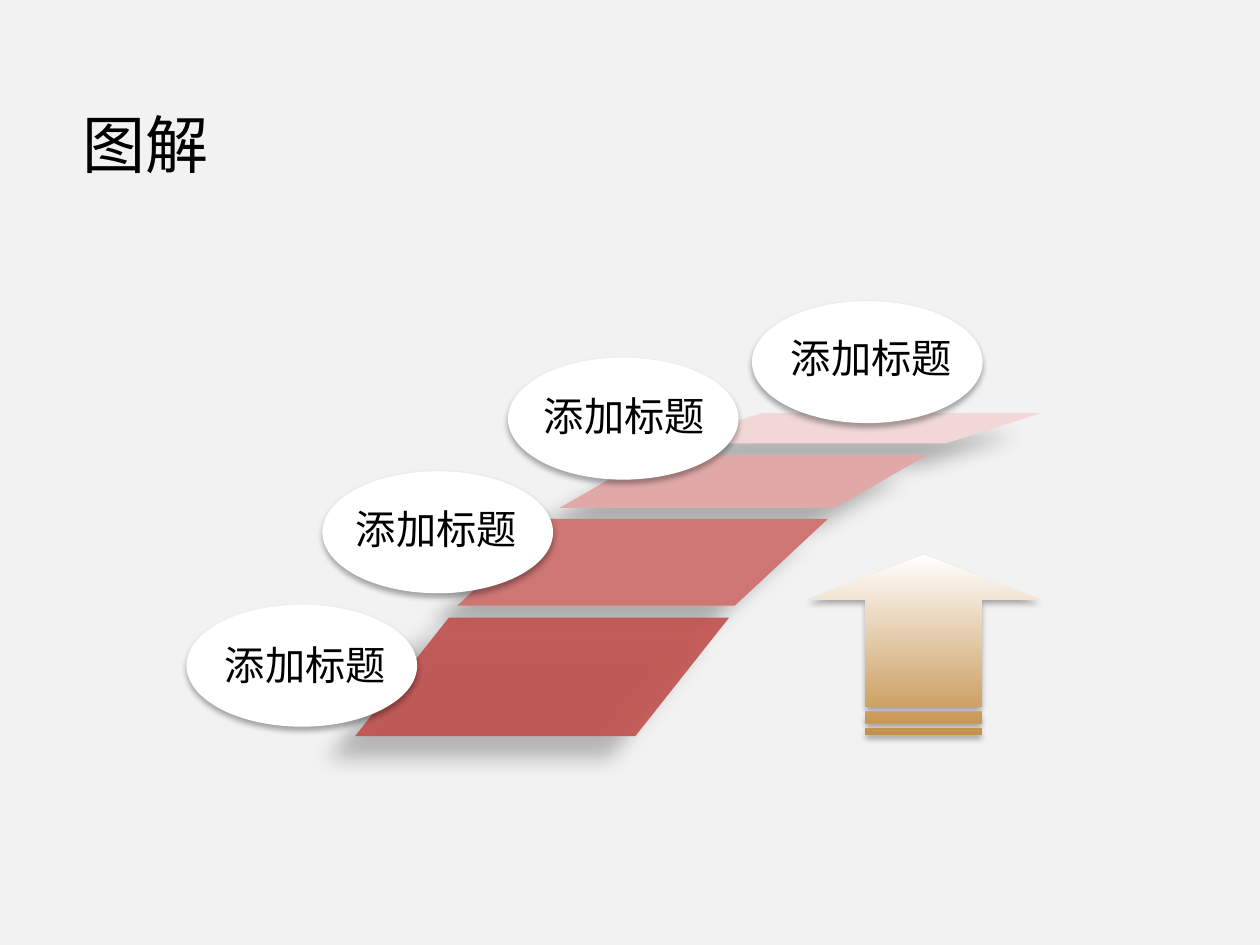
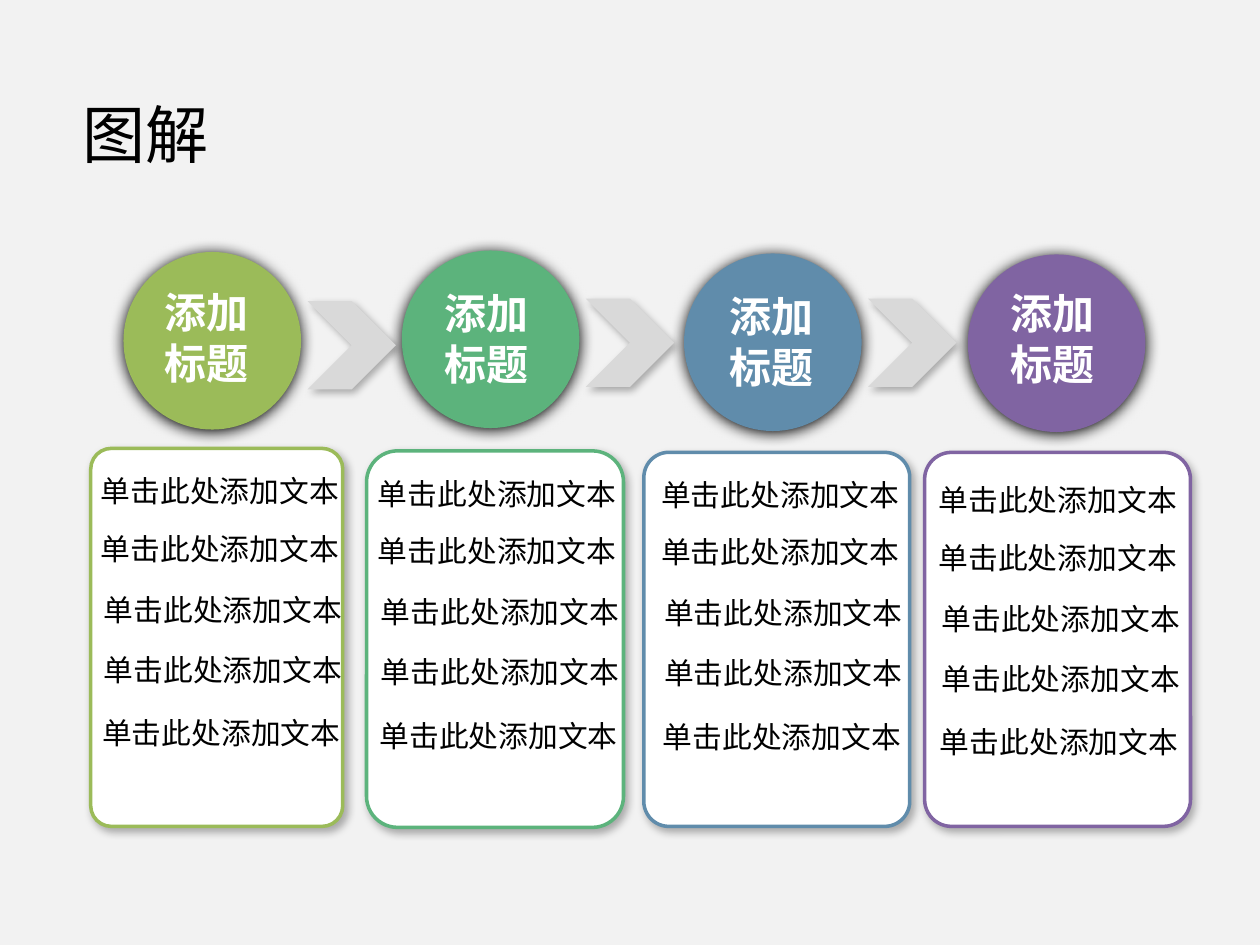
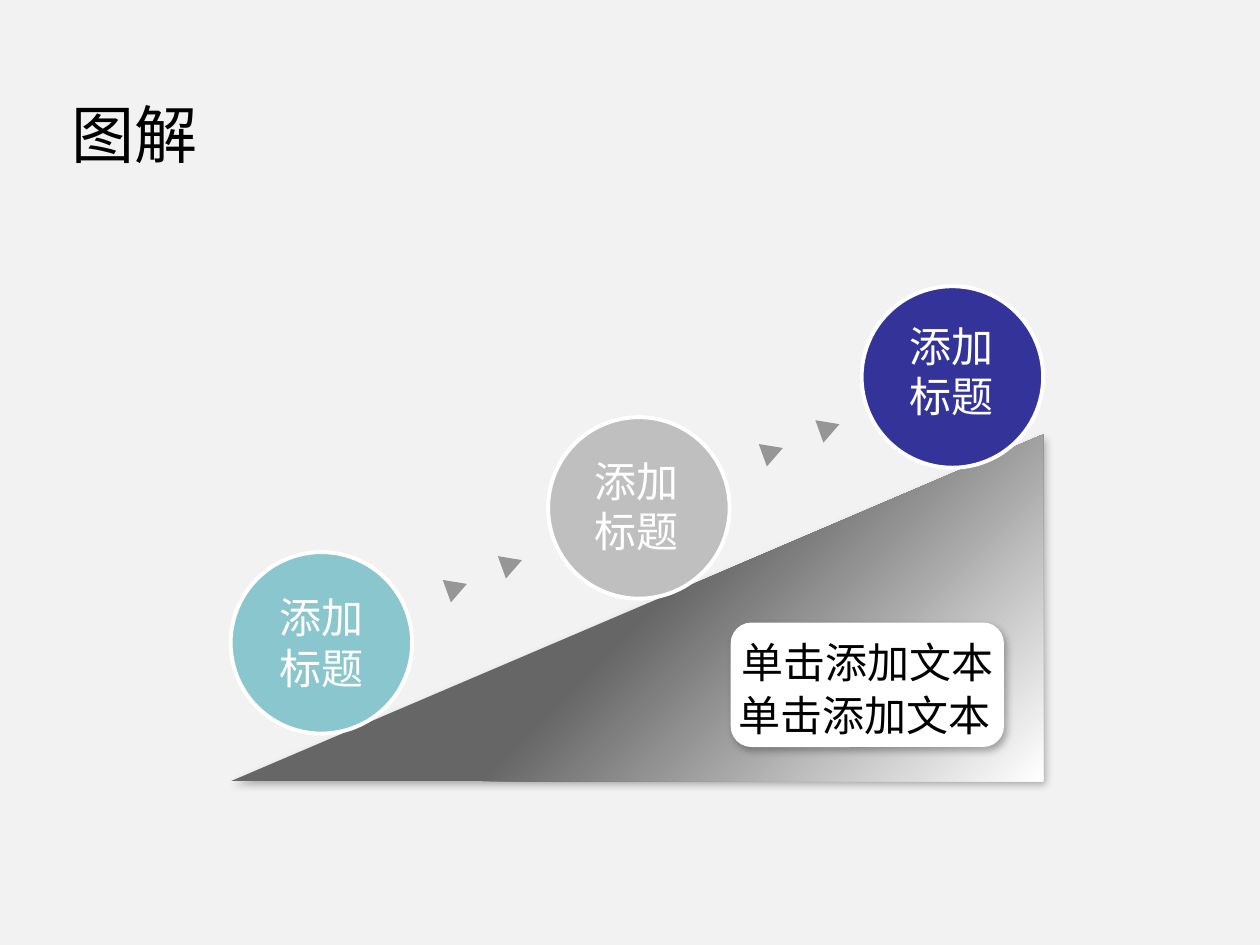
"""Build three diagram slides: rising steps, a four-stage process and a ramp."""
from dataclasses import dataclass
from lxml.etree import SubElement
from pptx import Presentation
from pptx.dml.color import RGBColor
from pptx.enum.shapes import MSO_SHAPE as Kind
from pptx.enum.text import MSO_ANCHOR as Anchor, MSO_AUTO_SIZE as Fit, PP_ALIGN as Align
from pptx.oxml.ns import qn
from pptx.util import Cm, Pt


@dataclass(frozen=True)
class Theme:
    """Colours, type sizes and shadows."""
    font: str = "Noto Sans CJK SC"
    back: str = "F2F2F2"
    ink: str = "000000"
    white: str = "FFFFFF"
    gold: str = "C59049"
    dark: str = "666666"
    pale: str = "D9D9D9"
    dart: str = "969696"
    head: int = 36
    large: int = 24
    label: int = 23
    body: int = 17
    deep: tuple = (28, 11.8, 19.7, 141)
    soft: tuple = (32, 3.5, 2.2, 90)
    glow: tuple = (100, 8.5, 1, 90)
    drop: tuple = (30, 4.5, 2.6, 53)


T = Theme()
TITLE = "图解"
LABEL = "添加标题"
ENTRY = "单击此处添加文本"
NOTE = "单击添加文本"

BANDS = [
    ((13.44, 8.33, 7.54, 0.61), 3.141, "F1D8D7", 100),
    ((11.28, 9.17, 7.42, 1.07), 1.747, "E0A9A8", 100),
    ((9.22, 10.46, 7.47, 1.75), 1.072, "CE7674", 100),
    ((7.16, 12.45, 7.54, 2.39), 0.791, "C0504D", 90),
]
STEPS = [
    ((3.76, 12.19), (3.58, 12.78)),
    ((6.5, 9.5), (6.22, 10.03)),
    ((10.24, 7.21), (10.01, 7.75)),
    ((15.16, 6.07), (14.99, 6.58)),
]
ARROW = [(16.28, 12.09), (17.45, 12.09), (17.45, 14.25), (19.79, 14.25),
         (19.79, 12.09), (20.96, 12.09), (18.62, 11.18)]
BARS = [(14.35, 14.58), (14.68, 14.81)]

STAGES = [
    dict(tint="9BBB59", disc=(2.49, 5.08), label=(2.77, 5.64), text=(1.78, 9.4),
         card=(1.83, 9.04, 5.08, 7.62), curve=0.082),
    dict(tint="5CB37C", disc=(8.1, 5.05), label=(8.43, 5.66), text=(7.37, 9.45),
         card=(7.39, 9.09, 5.18, 7.59), curve=0.121),
    dict(tint="608CAB", disc=(13.79, 5.11), label=(14.17, 5.72), text=(13.08, 9.47),
         card=(12.98, 9.12, 5.36, 7.54), curve=0.094),
    dict(tint="8064A2", disc=(19.51, 5.13), label=(19.84, 5.66), text=(18.67, 9.58),
         card=(18.64, 9.12, 5.36, 7.54), curve=0.101),
]
ROWS = [(0, 0), (0, 1.16), (0.06, 2.39), (0.06, 3.6), (0.03, 4.88)]
LINKS = [(6.2, 6.07), (11.81, 6.02), (17.5, 6.02)]

RAMP = [(4.65, 15.75), (21.03, 15.75), (21.03, 8.76)]
BALLS = [
    ((11.05, 8.41), (11.73, 9.04), "BFBFBF"),
    ((4.65, 11.13), (5.38, 11.79), "8AC6CD"),
    ((17.37, 5.77), (18.08, 6.32), "333399"),
]
DARTS = [(8.97, 11.63), (10.08, 11.15), (15.34, 8.89), (16.48, 8.41)]
NOTES = [(14.1, 12.7), (14.05, 13.77)]


def rgb(code):
    """Turn a hex code into a colour."""
    return RGBColor.from_string(code)


def write(slide, text, box, holder=None, size=T.body, color=T.ink, bold=False, align=Align.LEFT):
    """Put text in a new box, or in the given placeholder."""
    left, top, width, height = map(Cm, box)
    holder = holder or slide.shapes.add_textbox(left, top, width, height)
    holder.left, holder.top, holder.width, holder.height = left, top, width, height
    frame = holder.text_frame
    frame.word_wrap = True
    frame.auto_size = Fit.SHAPE_TO_FIT_TEXT
    frame.vertical_anchor = Anchor.MIDDLE
    para = frame.paragraphs[0]
    para.alignment = align
    run = para.add_run()
    run.text = text
    font = run.font
    font.size, font.bold, font.name = Pt(size), bold, T.font
    font.color.rgb = rgb(color)
    SubElement(font._element, qn("a:ea"), typeface=T.font)


def fade(color, alpha):
    """Give a colour element an opacity in percent."""
    SubElement(color, qn("a:alpha"), val=str(alpha * 1000))


def style(shape, fill=None, line=None, width=2, shadow=None, alpha=100):
    """Set fill, outline and shadow."""
    if fill:
        shape.fill.solid()
        shape.fill.fore_color.rgb = rgb(fill)
    if alpha < 100:
        fade(next(shape._element.spPr.iter(qn("a:srgbClr"))), alpha)
    if line:
        shape.line.color.rgb = rgb(line)
        shape.line.width = Pt(width)
    else:
        shape.line.fill.background()
    shape.shadow.inherit = False
    if shadow:
        depth, blur, far, angle = shadow
        effect = SubElement(
            shape._element.spPr.find(qn("a:effectLst")), qn("a:outerShdw"),
            blurRad=str(Pt(blur)), dist=str(Pt(far)), dir=str(angle * 60000),
            algn="ctr", rotWithShape="0")
        fade(SubElement(effect, qn("a:srgbClr"), val=T.ink), depth)


def draw(slide, kind, box, adjust=None, turn=0, **look):
    """Add a preset shape."""
    shape = slide.shapes.add_shape(kind, *map(Cm, box))
    if adjust is not None:
        shape.adjustments[0] = adjust
    shape.rotation = turn
    style(shape, **look)


def outline(slide, parts, stops, angle, shadow):
    """Add a closed outline with a gradient fill."""
    parts = [[(Cm(x), Cm(y)) for x, y in part] for part in parts]
    pen = slide.shapes.build_freeform(*parts[0][0])
    for part in parts:
        pen.move_to(*part[0])
        pen.add_line_segments(part[1:], close=True)
    shape = pen.convert_to_shape()
    shape.fill.gradient()
    shape.fill.gradient_angle = angle
    for stop, (place, color) in zip(shape.fill.gradient_stops, stops):
        stop.position = place
        stop.color.rgb = rgb(color)
    style(shape, shadow=shadow)


def start(deck, box):
    """Add a slide with its title."""
    slide = deck.slides.add_slide(deck.slide_layouts[5])
    write(slide, TITLE, box, holder=slide.shapes.title, size=T.head)
    return slide


def steps(deck):
    """Rising bands with labels and an arrow."""
    slide = start(deck, (1.4, 1.98, 14.88, 1.8))
    for box, slant, fill, alpha in BANDS:
        draw(slide, Kind.PARALLELOGRAM, box, slant, fill=fill, alpha=alpha, shadow=T.deep)
    for oval, label in STEPS:
        draw(slide, Kind.OVAL, (*oval, 4.65, 2.46), fill=T.white, shadow=T.soft)
        write(slide, LABEL, (*label, 5.16, 1.24), size=T.label, align=Align.CENTER)
    left, right = ARROW[1][0], ARROW[3][0]
    bars = [[(left, low), (right, low), (right, top), (left, top)] for top, low in BARS]
    outline(slide, [ARROW, *bars], [(0, T.white), (1, T.gold)], 270, T.soft)


def stages(deck):
    """Four discs over four cards."""
    slide = start(deck, (1.4, 1.78, 10.72, 1.8))
    for stage in STAGES:
        tint = stage["tint"]
        draw(slide, Kind.OVAL, (*stage["disc"], 3.58, 3.58), fill=tint, shadow=T.glow)
        draw(slide, Kind.ROUNDED_RECTANGLE, stage["card"], stage["curve"],
             fill=T.white, line=tint, shadow=T.drop)
        write(slide, LABEL, (*stage["label"], 2.77, 2.31), size=T.large,
              color=T.white, bold=True, align=Align.CENTER)
    for link in LINKS:
        draw(slide, Kind.CHEVRON, (*link, 1.78, 1.78), fill=T.pale, shadow=T.drop)
    for stage in STAGES:
        left, top = stage["text"]
        for right, down in ROWS:
            write(slide, ENTRY, (left + right, top + down, 5.36, 0.99))


def ramp(deck):
    """Three balls on a slope."""
    slide = start(deck, (1.19, 1.78, 7.75, 1.8))
    outline(slide, [RAMP], [(0.51, T.dark), (1, T.white)], 315, T.drop)
    for ball, label, fill in BALLS:
        draw(slide, Kind.OVAL, (*ball, 3.66, 3.66), fill=fill, line=T.white, width=2.25)
        write(slide, LABEL, (*label, 2.59, 2.31), size=T.large, color=T.white)
    for dart in DARTS:
        draw(slide, Kind.ISOSCELES_TRIANGLE, (*dart, 0.48, 0.43), turn=70.2, fill=T.dart)
    draw(slide, Kind.ROUNDED_RECTANGLE, (14.73, 12.55, 5.51, 2.51), 0.167,
         fill=T.white, shadow=T.drop)
    for note in NOTES:
        write(slide, NOTE, (*note, 6.76, 1.27), size=T.large, align=Align.CENTER)


def main():
    """Build and save the deck."""
    deck = Presentation()
    deck.slide_width, deck.slide_height = Cm(25.4), Cm(19.05)
    back = deck.slide_master.background.fill
    back.solid()
    back.fore_color.rgb = rgb(T.back)
    for build in (steps, stages, ramp):
        build(deck)
    deck.save("out.pptx")


if __name__ == "__main__":
    main()
